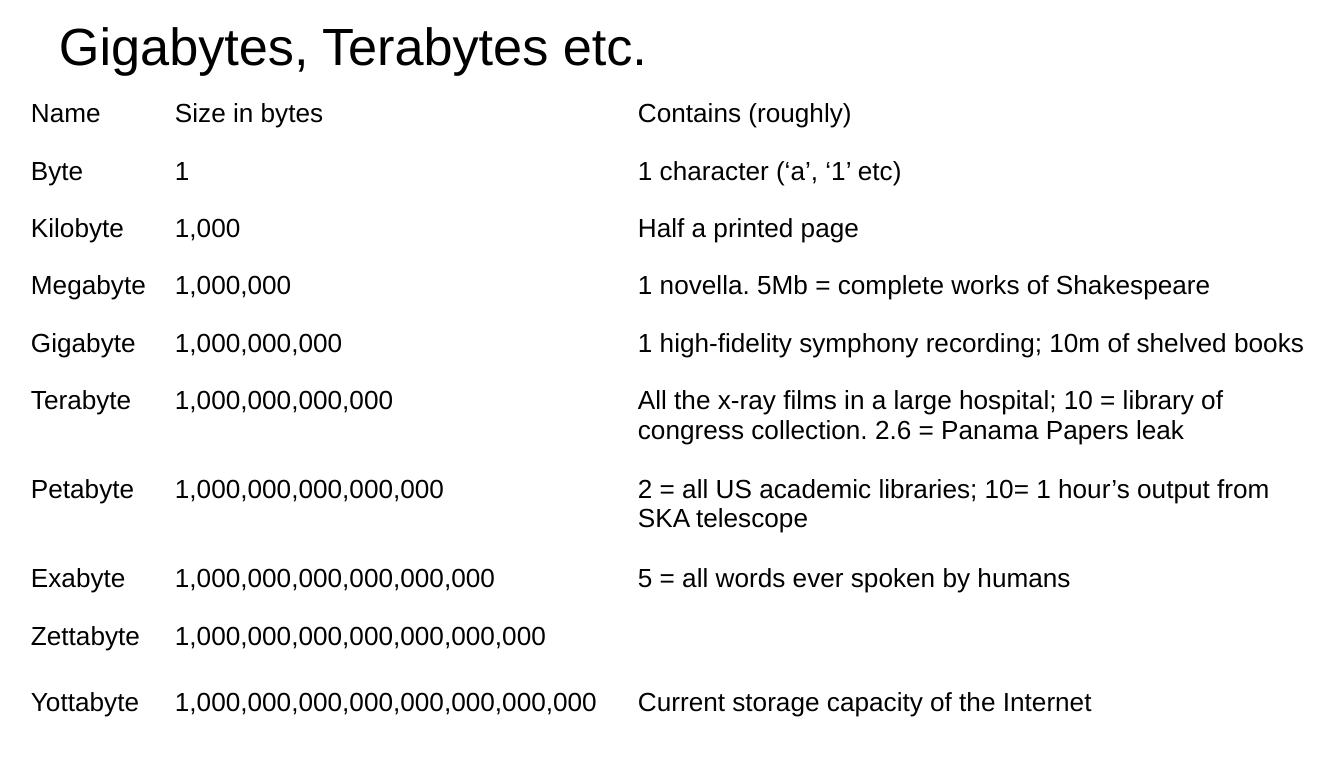
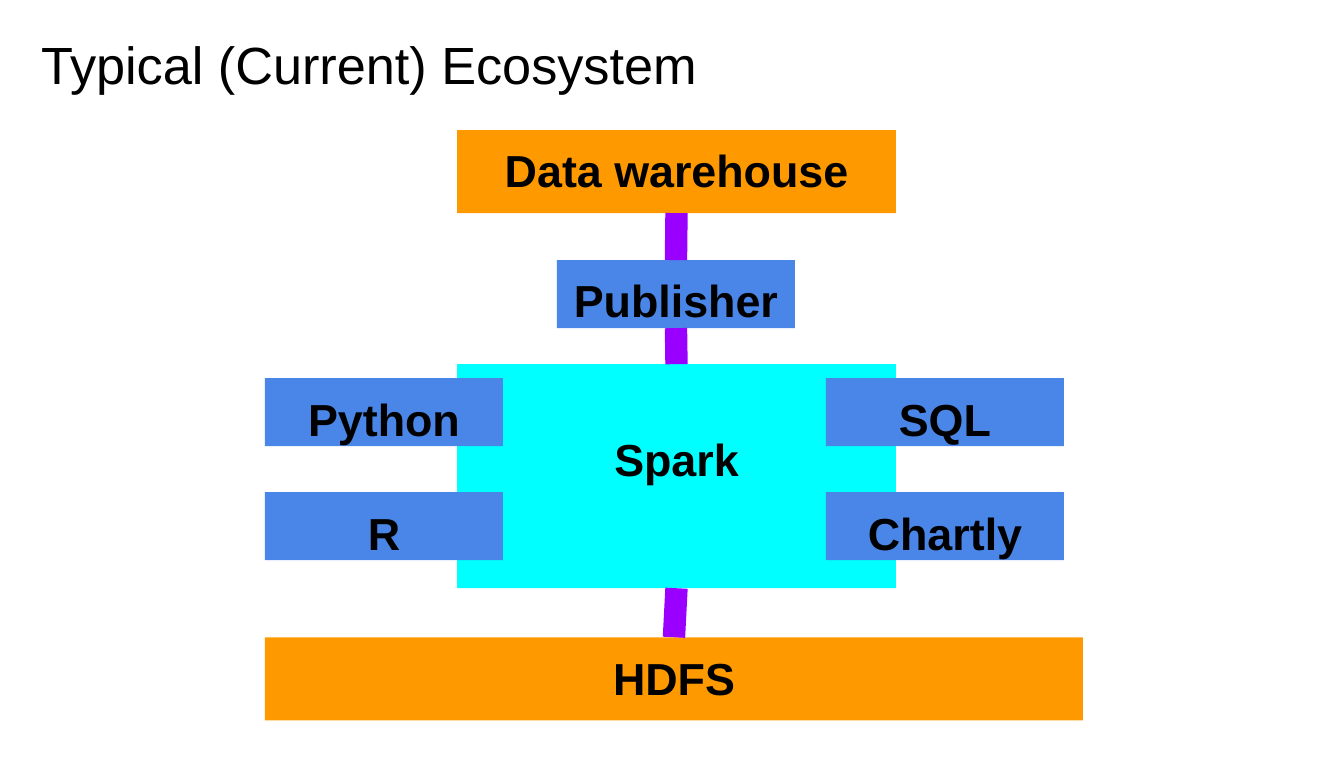
"""Build two slides on data sizes and a typical data ecosystem."""
from typing import NamedTuple

from lxml import etree
from pptx import Presentation
from pptx import util as u
from pptx.dml import color as c
from pptx.enum import shapes, text
from pptx.oxml import ns

SCALE = 914400 / 134.4
FONT = "Arial"
PAD = 13
COLORS = {
    "ink": "000000",
    "store": "FF9900",
    "core": "00FFFF",
    "tool": "4A86E8",
    "link": "9900FF",
}
HEADS = ("Name", "Size in bytes", "Contains (roughly)")
UNITS = (
    ("Byte", "1 character (‘a’, ‘1’ etc)"),
    ("Kilobyte", "Half a printed page"),
    ("Megabyte", "1 novella. 5Mb = complete works of Shakespeare"),
    ("Gigabyte", "1 high-fidelity symphony recording; 10m of shelved books"),
    ("Terabyte", "All the x-ray films in a large hospital; 10 = library of "
                 "congress collection. 2.6 = Panama Papers leak"),
    ("Petabyte", "2 = all US academic libraries; 10= 1 hour’s output from "
                 "SKA telescope"),
    ("Exabyte", "5 = all words ever spoken by humans"),
    ("Zettabyte", ""),
    ("Yottabyte", "Current storage capacity of the Internet"),
)
WIDTHS = (144, 463, 710)
HEIGHTS = (54,) + (56,) * 5 + (58,) * 4
FRAME = 441


class Box(NamedTuple):
    """A labelled block of the ecosystem."""

    label: str
    color: str
    left: int
    top: int
    width: int = 238
    height: int = 68
    inset: int = PAD


class Link(NamedTuple):
    """A bar from the bottom of one block to the top of the next."""

    start: str
    end: str


BOXES = (
    Box("HDFS", "store", 265, 637, 818, 83),
    Box("Spark", "core", 457, 364, 439, 224, inset=67),
    Box("Python", "tool", 265, 378),
    Box("R", "tool", 265, 492),
    Box("SQL", "tool", 826, 378),
    Box("Chartly", "tool", 826, 492),
    Box("Publisher", "tool", 557, 260),
    Box("Data warehouse", "store", 457, 130, 439, 83),
)
LINKS = (
    Link("Spark", "HDFS"),
    Link("Publisher", "Spark"),
    Link("Data warehouse", "Publisher"),
)


def px(size: int) -> u.Emu:
    """Turn pixels into EMU."""
    return u.Emu(round(size * SCALE))


def rgb(name: str) -> c.RGBColor:
    """Look up a named colour."""
    return c.RGBColor.from_string(COLORS[name])


def pad(item, top: int = PAD) -> None:
    """Set the inner margins of a text frame or cell."""
    item.margin_left = item.margin_right = item.margin_bottom = px(PAD)
    item.margin_top = px(top)


def write(frame, words: str, *, size: int, bold: bool = False,
          align=text.PP_ALIGN.LEFT) -> None:
    """Write one formatted paragraph into a text frame."""
    para = frame.paragraphs[0]
    para.alignment = align
    run = para.add_run()
    run.text = words
    run.font.name = FONT
    run.font.size = u.Pt(size)
    run.font.bold = bold
    run.font.color.rgb = rgb("ink")


def add_page(deck, title: str, left: int, top: int):
    """Add a blank slide with a title."""
    page = deck.slides.add_slide(deck.slide_layouts[6])
    frame = page.shapes.add_textbox(px(left), px(top), px(1252), px(85)).text_frame
    frame.word_wrap = True
    pad(frame)
    write(frame, title, size=28)
    return page


def add_grid(page) -> None:
    """Draw the table of byte units."""
    rows = [HEADS] + [(name, f"{1000 ** step:,}", use)
                      for step, (name, use) in enumerate(UNITS)]
    holder = page.shapes.add_table(len(rows), len(HEADS), px(18), px(86),
                                   px(FRAME), px(FRAME))
    grid = holder.table
    grid.first_row = grid.horz_banding = False
    for col, width in zip(grid.columns, WIDTHS):
        col.width = px(width)
    for row, height, words in zip(grid.rows, HEIGHTS, rows):
        row.height = px(height)
        for cell, word in zip(row.cells, words):
            cell.fill.background()
            pad(cell)
            if word:
                write(cell.text_frame, word, size=14)
    holder.width = holder.height = px(FRAME)


def add_box(page, box: Box):
    """Draw one labelled block."""
    shape = page.shapes.add_shape(
        shapes.MSO_SHAPE.RECTANGLE, px(box.left), px(box.top),
        px(box.width), px(box.height))
    shape.shadow.inherit = False
    shape.fill.solid()
    shape.fill.fore_color.rgb = rgb(box.color)
    shape.line.fill.background()
    frame = shape.text_frame
    frame.word_wrap = True
    frame.vertical_anchor = text.MSO_ANCHOR.TOP
    pad(frame, box.inset)
    write(frame, box.label, size=24, bold=True, align=text.PP_ALIGN.CENTER)
    return shape


def add_link(page, start, end) -> None:
    """Join the bottom of one block to the top of another."""
    line = page.shapes.add_connector(shapes.MSO_CONNECTOR.STRAIGHT, 0, 0, 0, 0)
    line.begin_connect(start, 2)
    line.end_connect(end, 0)
    line.line.color.rgb = rgb("link")
    line.line.width = u.Pt(12)
    etree.SubElement(line._element.spPr, ns.qn("a:effectLst"))


def main() -> None:
    """Build and save the deck."""
    deck = Presentation()
    deck.slide_width, deck.slide_height = u.Inches(10), u.Inches(5.63)
    add_grid(add_page(deck, "Gigabytes, Terabytes etc.", 46, 0))
    page = add_page(deck, "Typical (Current) Ecosystem", 28, 19)
    blocks = {box.label: add_box(page, box) for box in BOXES}
    for link in LINKS:
        add_link(page, blocks[link.start], blocks[link.end])
    deck.save("out.pptx")


if __name__ == "__main__":
    main()
